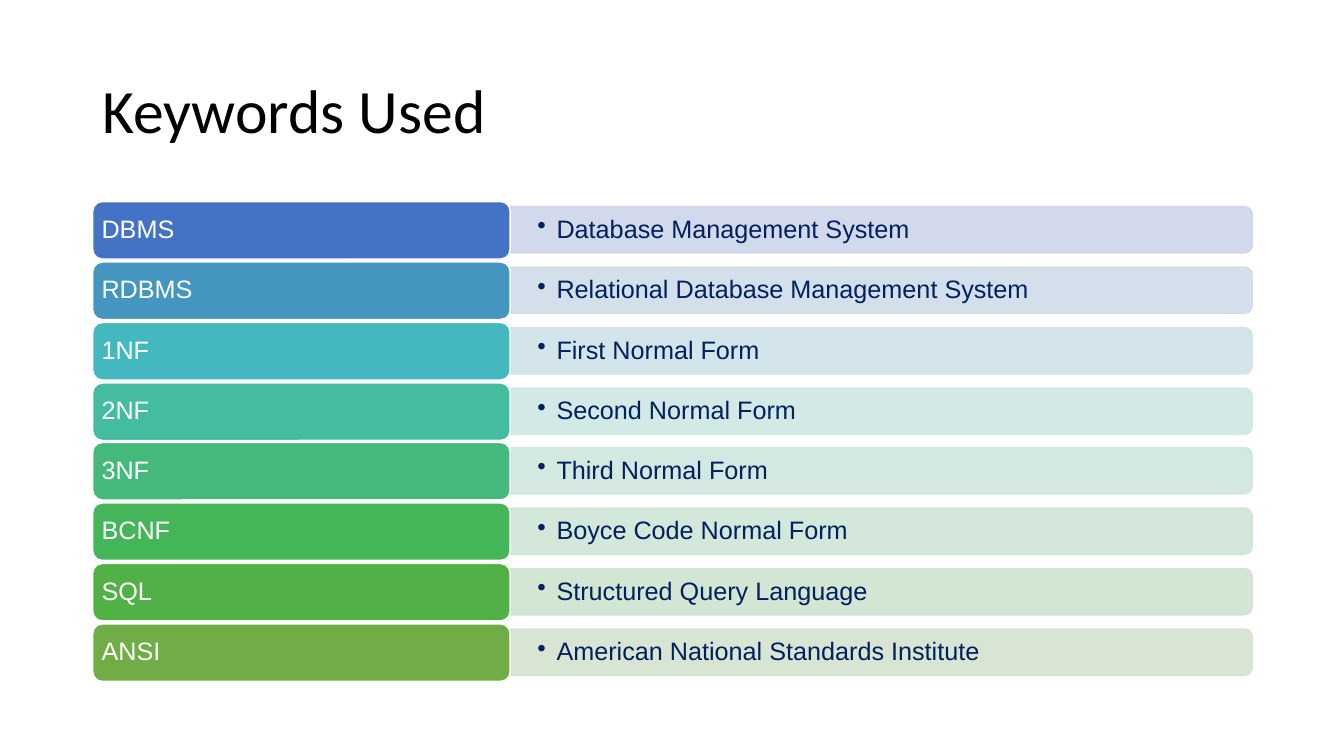
from lxml.etree import SubElement
from pptx import Presentation
from pptx.dml.color import RGBColor
from pptx.enum.shapes import MSO_SHAPE as Shape
from pptx.enum.text import MSO_ANCHOR as Anchor, PP_ALIGN as Align
from pptx.oxml.ns import qn
from pptx.util import Emu, Pt

EMU_PER_PX = 9144
WHITE = RGBColor(0xFF, 0xFF, 0xFF)
BLACK = RGBColor(0x00, 0x00, 0x00)
NAVY = RGBColor(0x00, 0x20, 0x60)

LEFT, TOP = 92, 200
ROW_PITCH = 59.85
KEY_WIDTH, KEY_HEIGHT = 414, 57
BAR_WIDTH, BAR_HEIGHT = 736, 46
MEANING_WIDTH, MEANING_HEIGHT = 734, 41

# keyword, meaning, keyword colour, bar colour
KEYWORDS = [
    ("DBMS", "Database Management System",
     RGBColor(0x44, 0x72, 0xC4), RGBColor(0xCF, 0xD5, 0xEA)),
    ("RDBMS", "Relational Database Management System",
     RGBColor(0x44, 0x96, 0xC1), RGBColor(0xCF, 0xDD, 0xE9)),
    ("1NF", "First Normal Form",
     RGBColor(0x43, 0xB8, 0xBF), RGBColor(0xCF, 0xE3, 0xE8)),
    ("2NF", "Second Normal Form",
     RGBColor(0x43, 0xBC, 0xA0), RGBColor(0xCF, 0xE7, 0xE4)),
    ("3NF", "Third Normal Form",
     RGBColor(0x44, 0xB9, 0x7B), RGBColor(0xCF, 0xE6, 0xDD)),
    ("BCNF", "Boyce Code Normal Form",
     RGBColor(0x45, 0xB5, 0x59), RGBColor(0xCF, 0xE5, 0xD6)),
    ("SQL", "Structured Query Language",
     RGBColor(0x52, 0xB1, 0x46), RGBColor(0xCF, 0xE4, 0xCF)),
    ("ANSI", "American National Standards Institute",
     RGBColor(0x70, 0xAD, 0x47), RGBColor(0xD5, 0xE3, 0xCF)),
]


def px(length):
    return Emu(length * EMU_PER_PX)


class KeywordSlide:
    font = "Arial"
    title_font = "Calibri"
    size = 18
    title_size = 44
    opacity = 90

    def __init__(self, deck):
        self.slide = deck.slides.add_slide(deck.slide_layouts[6])

    def set_text(self, shape, text, color, inset, font=font, size=size):
        """Fill a shape with one left-aligned, vertically centred paragraph."""
        frame = shape.text_frame
        frame.word_wrap = True
        frame.vertical_anchor = Anchor.MIDDLE
        frame.margin_left = frame.margin_right = px(inset)
        frame.margin_top = frame.margin_bottom = px(4)
        frame.text = text
        paragraph = frame.paragraphs[0]
        paragraph.alignment = Align.LEFT
        paragraph.line_spacing = 0.9
        run_font = paragraph.runs[0].font
        run_font.name, run_font.size = font, Pt(size)
        run_font.color.rgb = color
        return paragraph

    def box(self, kind, left, top, width, height, fill, line):
        shape = self.slide.shapes.add_shape(
            kind, px(left), px(top), px(width), px(height))
        shape.shadow.inherit = False
        shape.fill.solid()
        shape.fill.fore_color.rgb = fill
        shape.line.color.rgb = line
        shape.line.width = Pt(1)
        return shape

    def textbox(self, left, top, width, height):
        return self.slide.shapes.add_textbox(
            px(left), px(top), px(width), px(height))

    def title(self, text):
        self.set_text(self.textbox(LEFT, 40, 1150, 145), text, BLACK, 10,
                      self.title_font, self.title_size)

    def bar(self, left, top, color):
        """Draw a bar rounded on its right: a tall shape turned by 90 degrees."""
        turn = (BAR_WIDTH - BAR_HEIGHT) // 2
        bar = self.box(Shape.ROUND_2_SAME_RECTANGLE, left + turn, top - turn,
                       BAR_HEIGHT, BAR_WIDTH, color, color)
        bar.rotation = 90
        for paint in bar.element.spPr.iter(qn("a:srgbClr")):
            SubElement(paint, qn("a:alpha"), val=str(self.opacity * 1000))

    def meaning(self, left, top, text):
        box = self.textbox(left, top, MEANING_WIDTH, MEANING_HEIGHT)
        properties = self.set_text(box, text, NAVY, 27)._p.get_or_add_pPr()
        properties.set("marL", str(px(19)))
        properties.set("indent", str(px(-19)))
        SubElement(properties, qn("a:buChar"), char="•")

    def keyword(self, left, top, text, color):
        label = self.box(Shape.ROUNDED_RECTANGLE, left, top,
                         KEY_WIDTH, KEY_HEIGHT, color, WHITE)
        self.set_text(label, text, WHITE, 6)


def main():
    deck = Presentation()
    deck.slide_width, deck.slide_height = px(1333), px(750)
    slide = KeywordSlide(deck)
    slide.title("Keywords Used")
    bar_left = LEFT + KEY_WIDTH
    for row, (keyword, meaning, key_color, bar_color) in enumerate(KEYWORDS):
        top = TOP + round(row * ROW_PITCH)
        slide.bar(bar_left, top + 5, bar_color)
        slide.meaning(bar_left, top + 8, meaning)
        slide.keyword(LEFT, top, keyword, key_color)
    deck.save("out.pptx")


if __name__ == "__main__":
    main()
